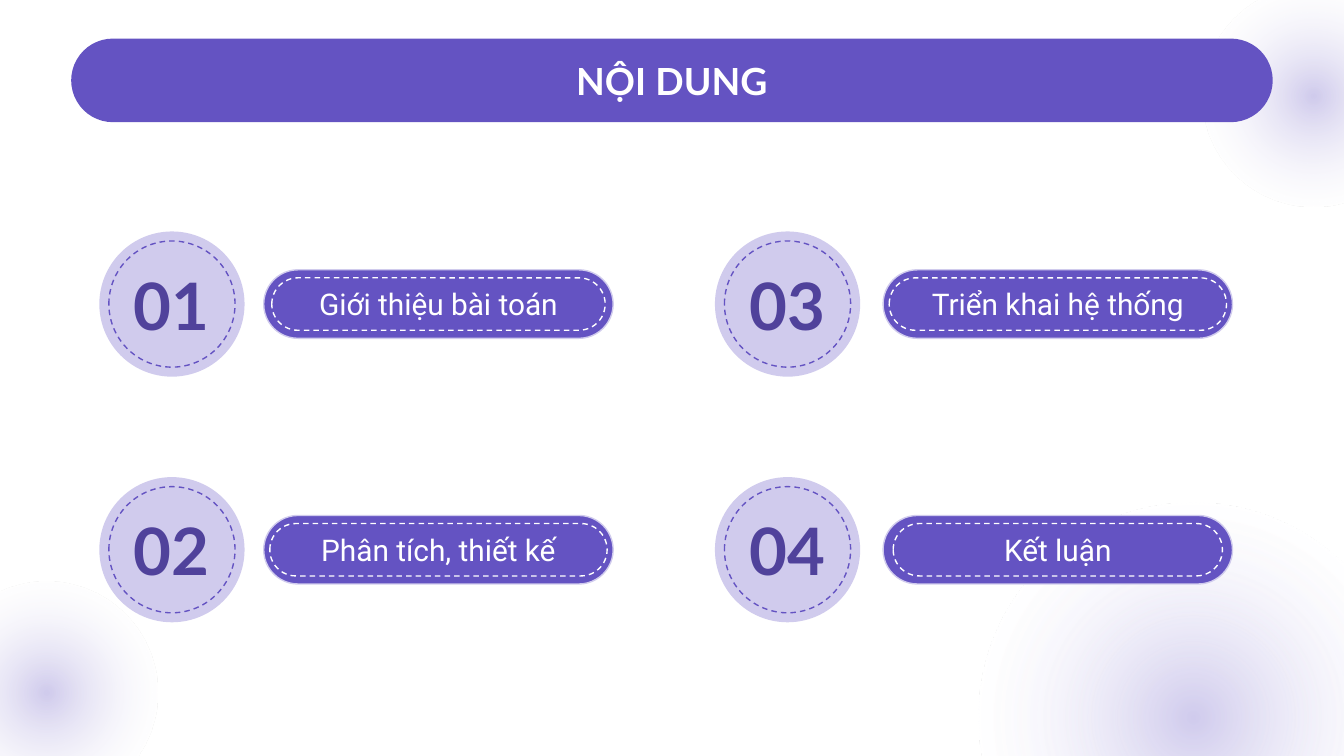
"""Build a contents slide with four numbered, dashed pill labels."""
from typing import NamedTuple, Optional

from pptx import Presentation
from pptx.dml.color import RGBColor
from pptx.enum.dml import MSO_LINE_DASH_STYLE as Dash
from pptx.enum.shapes import MSO_SHAPE as Kind
from pptx.enum.text import MSO_ANCHOR as Anchor, PP_ALIGN as Align
from pptx.oxml import parse_xml
from pptx.oxml.ns import nsdecls
from pptx.util import Pt

VIOLET, LILAC, DARK, WHITE = "6453C2", "D0CBED", "50429B", "FFFFFF"


class Box(NamedTuple):
    x: float
    y: float
    w: float
    h: float

    def place(self) -> tuple:
        return Pt(self.x - self.w / 2), Pt(self.y - self.h / 2), Pt(self.w), Pt(self.h)


class Type(NamedTuple):
    font: str
    size: float
    tint: str
    bold: bool = False


class Item(NamedTuple):
    num: str
    label: str
    col: int
    row: int
    ring: float
    text: Box


TITLE = Type("Lato", 20, WHITE, True)
NUMBER = Type("Lato", 35, DARK, True)
LABEL = Type("Roboto", 16, WHITE)
DISC_X, PILL_X, ROW_Y = (92.1, 421.9), (234.9, 566.7), (162.9, 294.5)
GLOWS = [
    Box(639, 384.1, 229.7, 229.7),
    Box(703.8, 51.5, 118.8, 118.8),
    Box(25, 371.2, 118.8, 118.8),
]
ITEMS = [
    Item("01", "Giới thiệu bài toán", 0, 0, 178.6, Box(PILL_X[0], ROW_Y[0], 156.2, 33.8)),
    Item("03", "Triển khai hệ thống", 1, 0, 180.7, Box(PILL_X[1], ROW_Y[0], 162.7, 28.1)),
    Item("04", "Kết luận", 1, 1, 176.4, Box(PILL_X[1], ROW_Y[1], 139.7, 31)),
    Item("02", "Phân tích, thiết kế", 0, 1, 180.7, Box(PILL_X[0], ROW_Y[1], 156.2, 28.1)),
]


def color(code: str) -> RGBColor:
    return RGBColor.from_string(code)


def draw(slide, kind, box: Box, fill: Optional[str] = None,
         line: Optional[str] = None, dash: bool = False):
    shape = slide.shapes.add_shape(kind, *box.place())
    shape.shadow.inherit = False
    if kind == Kind.ROUNDED_RECTANGLE:
        shape.adjustments[0] = 0.5
    if fill:
        shape.fill.solid()
        shape.fill.fore_color.rgb = color(fill)
    else:
        shape.fill.background()
    if line:
        shape.line.color.rgb = color(line)
        shape.line.width = Pt(0.75)
        if dash:
            shape.line.dash_style = Dash.DASH
    else:
        shape.line.fill.background()
    return shape


def glow(slide, box: Box) -> None:
    props = draw(slide, Kind.OVAL, box, WHITE).fill._xPr
    grad = parse_xml(
        f'<a:gradFill {nsdecls("a")}><a:gsLst>'
        f'<a:gs pos="0"><a:srgbClr val="{LILAC}"/></a:gs>'
        f'<a:gs pos="72000"><a:srgbClr val="{WHITE}"><a:alpha val="27000"/></a:srgbClr></a:gs>'
        f'<a:gs pos="100000"><a:srgbClr val="{WHITE}"/></a:gs></a:gsLst>'
        '<a:path path="circle"><a:fillToRect l="50000" t="50000" r="50000" b="50000"/>'
        '</a:path></a:gradFill>')
    props.replace(props.eg_fillProperties, grad)


def write(shape, text: str, style: Type) -> None:
    frame = shape.text_frame
    frame.text = text
    frame.word_wrap = True
    frame.vertical_anchor = Anchor.MIDDLE
    frame.margin_left = frame.margin_right = Pt(7.2)
    frame.margin_top = frame.margin_bottom = Pt(7.2)
    para = frame.paragraphs[0]
    para.alignment = Align.CENTER
    font = para.runs[0].font
    font.name, font.size, font.bold = style.font, Pt(style.size), style.bold
    font.color.rgb = color(style.tint)


def label(slide, box: Box, text: str, style: Type) -> None:
    write(slide.shapes.add_textbox(*box.place()), text, style)


def entry(slide, item: Item) -> None:
    disc, pill, y = DISC_X[item.col], PILL_X[item.col], ROW_Y[item.row]
    draw(slide, Kind.ROUNDED_RECTANGLE, Box(pill, y, 187.2, 36.7), VIOLET, LILAC)
    draw(slide, Kind.ROUNDED_RECTANGLE, Box(pill, y, item.ring, 28.1), None, WHITE, True)
    draw(slide, Kind.OVAL, Box(disc, y, 77.8, 77.8), LILAC)
    draw(slide, Kind.OVAL, Box(disc, y, 67.6, 67.6), None, VIOLET, True)
    label(slide, item.text, item.label, LABEL)
    label(slide, Box(disc, y, 61.9, 37.4), item.num, NUMBER)


def main() -> None:
    deck = Presentation()
    deck.slide_width, deck.slide_height = Pt(720), Pt(405)
    slide = deck.slides.add_slide(deck.slide_layouts[6])
    for box in GLOWS:
        glow(slide, box)
    banner = draw(slide, Kind.ROUNDED_RECTANGLE, Box(360, 43.1, 643.7, 44.8), VIOLET)
    write(banner, "NỘI DUNG", TITLE)
    for item in ITEMS:
        entry(slide, item)
    deck.save("out.pptx")


if __name__ == "__main__":
    main()
